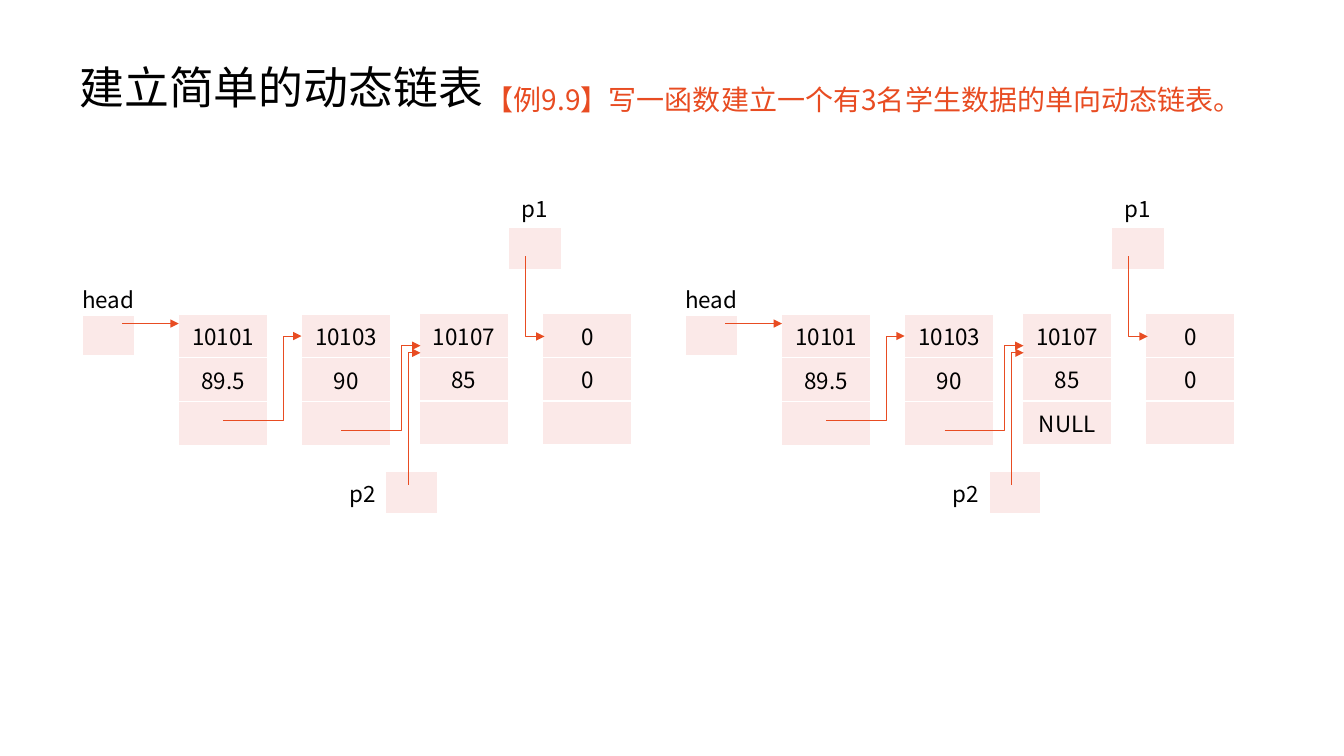
import dataclasses

import pptx
import pptx.dml.color
import pptx.enum.shapes
import pptx.enum.text
import pptx.oxml
import pptx.oxml.ns
import pptx.util

ALIGN = pptx.enum.text.PP_ALIGN
ANCHOR = pptx.enum.text.MSO_ANCHOR
NAMESPACE = pptx.oxml.ns.nsdecls("a")
WIDTH, HEIGHT = pptx.util.Inches(13.33), pptx.util.Inches(7.5)


@dataclasses.dataclass(frozen=True)
class Theme:
    font: str = "Noto Sans CJK SC"
    ink: str = "000000"
    accent: str = "E84C22"
    cell: str = "FBE9E8"
    paper: str = "FFFFFF"
    title_size: int = 32
    example_size: int = 20
    label_size: int = 16
    line_width: float = 0.5


THEME = Theme()

# All lengths below are percentages of the slide's width or height.
PANEL_STEP = 44.88
NODE_WIDTH, NODE_ROW = 6.64, 5.79
POINTER_ROW = 5.56
HEAD_ROW, HEAD_GAP = 5.4, 1.07


def across(share):
    return round(WIDTH * share / 100)


def down(share):
    return round(HEIGHT * share / 100)


def colour(code):
    return pptx.dml.color.RGBColor.from_string(code)


def add_span(para, text, size, ink):
    span = para.add_run()
    span.text = text
    span.font.size = pptx.util.Pt(size)
    span.font.name = THEME.font
    span.font.color.rgb = colour(ink)
    span.font._element.append(
        pptx.oxml.parse_xml(f'<a:ea {NAMESPACE} typeface="{THEME.font}"/>'))


def add_text(page, left, top, width, height, text, size, ink, spacing):
    box = page.shapes.add_textbox(
        across(left), down(top), across(width), down(height))
    box.text_frame.word_wrap = True
    para = box.text_frame.paragraphs[0]
    para.line_spacing = spacing
    add_span(para, text, size, ink)
    return box.text_frame


def add_borders(cell):
    properties = cell._tc.get_or_add_tcPr()
    for side in "LRTB":
        properties.append(pptx.oxml.parse_xml(
            f'<a:ln{side} {NAMESPACE} w="12700"><a:solidFill>'
            f'<a:srgbClr val="{THEME.paper}"/></a:solidFill></a:ln{side}>'))


def fill_cell(cell, text, filled, align, anchor, inset):
    add_borders(cell)
    if filled:
        cell.fill.solid()
        cell.fill.fore_color.rgb = colour(THEME.cell)
    else:
        cell.fill.background()
    cell.vertical_anchor = anchor
    cell.margin_left = cell.margin_right = pptx.util.Inches(inset)
    cell.margin_top = cell.margin_bottom = pptx.util.Inches(inset * 0.4)
    para = cell.text_frame.paragraphs[0]
    para.alignment = align
    if text:
        add_span(para, text, THEME.label_size, THEME.ink)
    else:
        para._p.append(pptx.oxml.parse_xml(
            f'<a:endParaRPr {NAMESPACE} sz="{THEME.label_size * 100}"/>'))


def add_cells(page, left, top, widths, heights, rows, bare=(),
              align=ALIGN.CENTER, anchor=ANCHOR.MIDDLE, inset=0.1):
    """Draw a table; the (row, column) places in bare get no fill."""
    table = page.shapes.add_table(
        len(rows), len(widths), across(left), down(top),
        across(sum(widths)), down(sum(heights))).table
    table.first_row = table.horz_banding = False
    for column, width in zip(table.columns, widths):
        column.width = across(width)
    for row_number, (height, texts) in enumerate(zip(heights, rows)):
        table.rows[row_number].height = down(height)
        for column_number, text in enumerate(texts):
            fill_cell(table.cell(row_number, column_number), text,
                      (row_number, column_number) not in bare,
                      align, anchor, inset)


def add_node(page, left, top, number, score, following):
    add_cells(page, left, top, [NODE_WIDTH], [NODE_ROW] * 3,
              [[number], [score], [following]])


def add_pointer(page, left, top, width, heights, name, inset=0.1):
    """Draw a variable's box below its name; further rows stay bare."""
    rows = [[name]] + [[""]] * (len(heights) - 1)
    bare = [(row, 0) for row in range(len(heights)) if row != 1]
    add_cells(page, left, top, [width], heights, rows, bare=bare,
              anchor=ANCHOR.BOTTOM, inset=inset)


def style_arrow(arrow):
    arrow.line.color.rgb = colour(THEME.accent)
    arrow.line.width = pptx.util.Pt(THEME.line_width)
    arrow.line._get_or_add_ln().append(
        pptx.oxml.parse_xml(f'<a:tailEnd {NAMESPACE} type="triangle"/>'))


def add_straight_arrow(page, left, right, height):
    arrow = page.shapes.add_connector(
        pptx.enum.shapes.MSO_CONNECTOR.STRAIGHT,
        across(left), down(height), across(right), down(height))
    style_arrow(arrow)
    arrow._element.spPr.append(
        pptx.oxml.parse_xml(f"<a:effectLst {NAMESPACE}/>"))


def add_bent_arrow(page, start, turn, end):
    """Run from start along to the column turn, then up or down to end."""
    points = [(turn, start[1]), (turn, end[1]), end]
    if start[0] != turn:
        points.insert(0, start)
    corners = [(across(x), down(y)) for x, y in points]
    outline = page.shapes.build_freeform(*corners[0])
    outline.add_line_segments(corners[1:], close=False)
    arrow = outline.convert_to_shape()
    arrow.shadow.inherit = False
    arrow.fill.background()
    style_arrow(arrow)


def add_panel(page, shift, last_link):
    """Draw one state of the list; last_link is the third node's link."""
    nodes = [(13.28, 41.55, "10101", "89.5", ""),
             (22.43, 41.55, "10103", "90", ""),
             (31.2, 41.47, "10107", "85", last_link),
             (40.37, 41.47, "0", "0", "")]
    for left, *content in nodes:
        add_node(page, left + shift, *content)
    head_rows = [HEAD_ROW, HEAD_ROW] + [HEAD_GAP, HEAD_ROW] * 2
    add_pointer(page, 6.1 + shift, 36.27, 3.9, head_rows, "head", inset=0)
    add_pointer(page, 37.8 + shift, 24.53, 3.96, [POINTER_ROW] * 2, "p1")
    add_cells(page, 24.6 + shift, 62.4, [4.1, 3.84], [POINTER_ROW],
              [["p2", ""]], bare=[(0, 0)], align=ALIGN.RIGHT)

    add_straight_arrow(page, 9.08 + shift, 13.3 + shift, 42.8)
    bends = [((16.58, 55.6), 21.08, (22.43, 44.45)),
             ((25.4, 56.93), 29.85, (31.28, 45.73)),
             ((30.38, 64.13), 30.38, (31.28, 46.67)),
             ((39.08, 33.87), 39.08, (40.52, 44.5))]
    for (start_x, start_y), turn, (end_x, end_y) in bends:
        add_bent_arrow(page, (start_x + shift, start_y), turn + shift,
                       (end_x + shift, end_y))


def main():
    deck = pptx.Presentation()
    deck.slide_width, deck.slide_height = WIDTH, HEIGHT
    page = deck.slides.add_slide(deck.slide_layouts[6])

    title = add_text(page, 5.18, 4.93, 86.25, 13.87, "建立简单的动态链表",
                     THEME.title_size, THEME.ink, 0.9)
    title.vertical_anchor = ANCHOR.MIDDLE
    example = add_text(
        page, 35.4, 9.33, 58.44, 8,
        "【例9.9】写一函数建立一个有3名学生数据的单向动态链表。",
        THEME.example_size, THEME.accent, 1.2)
    example.margin_right = 0
    example.paragraphs[0].space_before = pptx.util.Pt(10)

    for number, last_link in enumerate(["", "NULL"]):
        add_panel(page, number * PANEL_STEP, last_link)
    deck.save("out.pptx")


if __name__ == "__main__":
    main()
